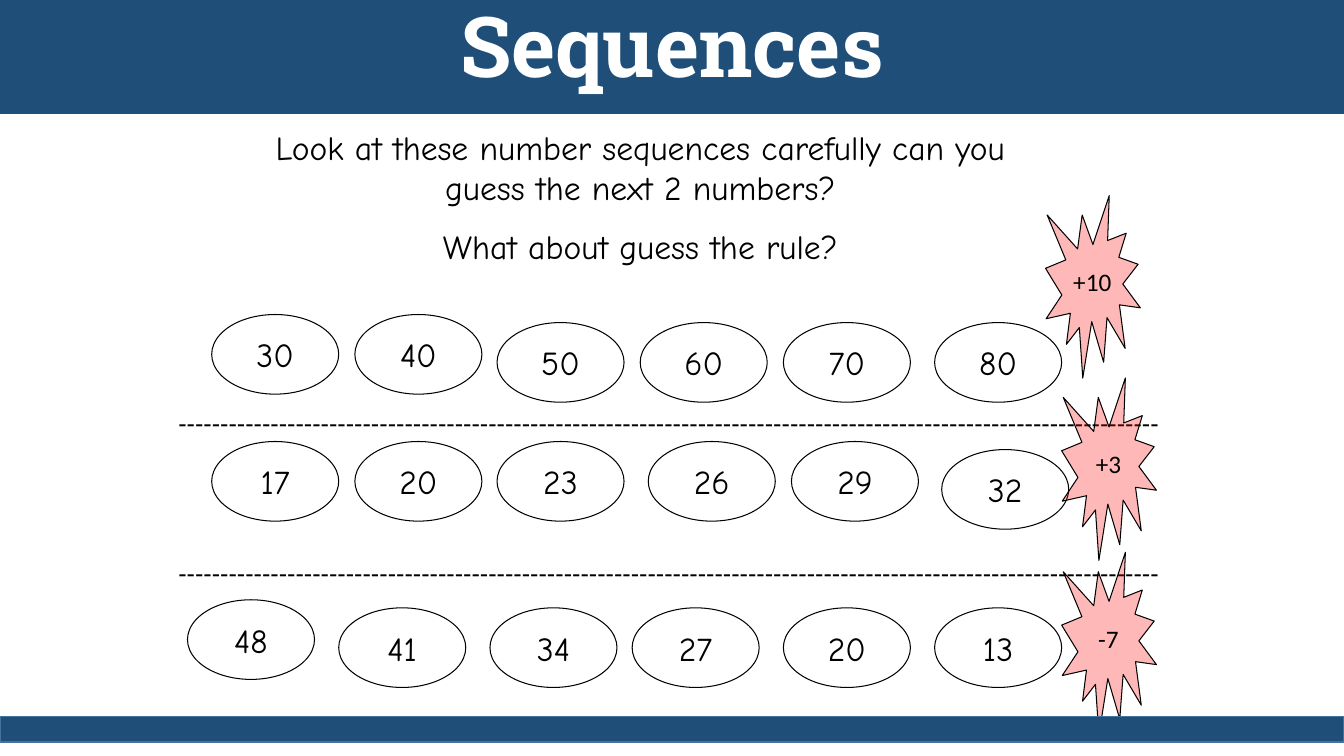
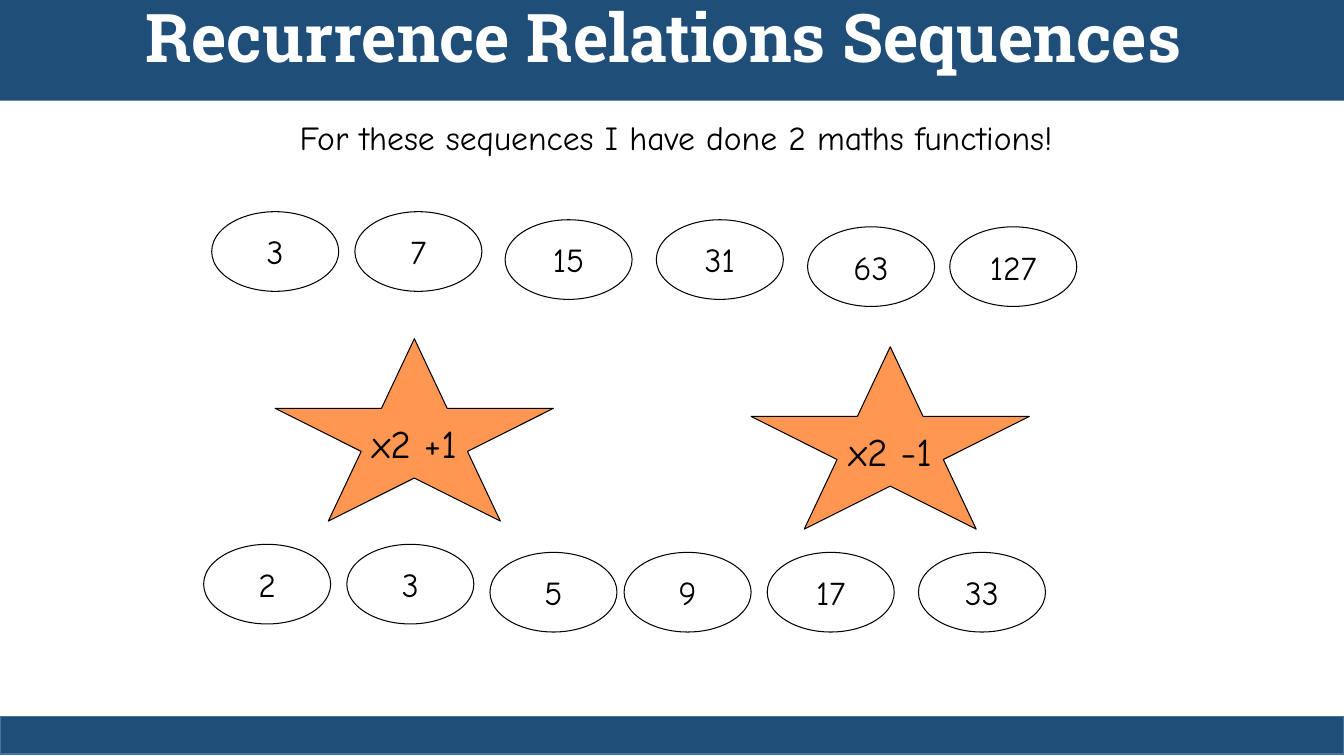
"""Build two slides on number sequences and their rules."""
from lxml import etree
from pptx import Presentation
from pptx.dml.color import RGBColor
from pptx.enum import shapes, text
from pptx.oxml import ns
from pptx.util import Inches, Pt

NAVY = RGBColor(0x1F, 0x4E, 0x79)
EDGE_BLUE = RGBColor(0x43, 0x73, 0x9E)
WHITE = RGBColor(0xFF, 0xFF, 0xFF)
BLACK = RGBColor(0, 0, 0)
RED = RGBColor(0xFF, 0, 0)
ORANGE = RGBColor(0xFF, 0x66, 0)
TITLE_FONT = "Roboto Slab"
BODY_FONT = "Comic Neue"
RULE_FONT = "Calibri"
DASH_FONT = "Arial"
SLIDE_WIDTH = 13.33
FOOTER_TOP = 7.11
OVAL_WIDTH, OVAL_HEIGHT = 1.26, 0.79
SEAL_SIZE = (0.94, 1.81)
STAR_SIZE = (2.76, 1.81)


def write_text(text_frame, lines, font, size, color=BLACK, bold=False,
               align=text.PP_ALIGN.CENTER):
    text_frame.text = "\n".join(lines)
    for index, paragraph in enumerate(text_frame.paragraphs):
        paragraph.alignment = align
        if index:
            paragraph.space_before = Pt(13)
        for run in paragraph.runs:
            run.font.name = font
            run.font.size = Pt(size)
            run.font.bold = bold
            run.font.color.rgb = color


def add_text(slide, left, top, width, height, lines, font=BODY_FONT, size=24,
             align=text.PP_ALIGN.CENTER):
    box = slide.shapes.add_textbox(*map(Inches, (left, top, width, height)))
    box.text_frame.word_wrap = True
    write_text(box.text_frame, lines, font, size, align=align)


def add_filled_shape(slide, kind, left, top, width, height, fill, line=None, line_width=0.75):
    shape = slide.shapes.add_shape(kind, *map(Inches, (left, top, width, height)))
    shape.shadow.inherit = False
    shape.fill.solid()
    shape.fill.fore_color.rgb = fill
    if line is None:
        shape.line.fill.background()
    else:
        shape.line.color.rgb = line
        shape.line.width = Pt(line_width)
    return shape


def add_label_shape(slide, kind, left, top, size, fill, label, font=BODY_FONT, font_size=24):
    shape = add_filled_shape(slide, kind, left, top, *size, fill, BLACK)
    shape.text_frame.word_wrap = False
    shape.text_frame.vertical_anchor = text.MSO_ANCHOR.MIDDLE
    write_text(shape.text_frame, [label], font, font_size)
    return shape


def set_opacity(shape, percent):
    color = shape.element.spPr.find(ns.qn("a:solidFill")).find(ns.qn("a:srgbClr"))
    etree.SubElement(color, ns.qn("a:alpha")).set("val", str(percent * 1000))


def add_sequence(slide, numbers, lefts, tops):
    for number, left, top in zip(numbers, lefts, tops):
        add_label_shape(slide, shapes.MSO_SHAPE.OVAL, left, top,
                        (OVAL_WIDTH, OVAL_HEIGHT), WHITE, str(number))


def add_seal(slide, left, top, rule):
    seal = add_label_shape(slide, shapes.MSO_SHAPE.EXPLOSION1, left, top,
                           SEAL_SIZE, RED, rule, RULE_FONT, 18)
    set_opacity(seal, 28)


def add_star(slide, left, top, rule):
    star = add_label_shape(slide, shapes.MSO_SHAPE.STAR_5_POINT, left, top,
                           STAR_SIZE, ORANGE, rule, font_size=28)
    set_opacity(star, 68)


def add_dashes(slide, top):
    add_text(slide, 1.67, top, 10, 0.4, ["-" * 117], DASH_FONT, 18, text.PP_ALIGN.LEFT)


def add_bands(slide, title, title_size, title_height, footer_height):
    rectangle = shapes.MSO_SHAPE.RECTANGLE
    header = add_filled_shape(slide, rectangle, 0, 0, SLIDE_WIDTH, title_height, NAVY)
    header.text_frame.vertical_anchor = text.MSO_ANCHOR.TOP
    write_text(header.text_frame, [title], TITLE_FONT, title_size, WHITE, True)
    header.text_frame.paragraphs[0].line_spacing = 0.9
    add_filled_shape(slide, rectangle, 0, FOOTER_TOP, SLIDE_WIDTH, footer_height,
                     NAVY, EDGE_BLUE, 1)


def build_sequences(slide):
    add_text(slide, 2.41, 1.21, 7.88, 1.51, [
        "Look at these number sequences carefully can you guess the next 2 numbers?",
        "What about guess the rule?"])
    add_sequence(slide, range(30, 81, 10), (2.1, 3.52, 4.93, 6.35, 7.77, 9.27),
                 [3.12] * 2 + [3.2] * 4)
    add_sequence(slide, range(17, 33, 3), (2.1, 3.52, 4.93, 6.43, 7.85, 9.34),
                 [4.38] * 5 + [4.46])
    add_sequence(slide, range(48, 12, -7), (1.86, 3.36, 4.86, 6.27, 7.77, 9.27),
                 [5.95] + [6.03] * 5)
    for top in (3.99, 5.48):
        add_dashes(slide, top)
    for left, top, rule in ((10.37, 1.94, "+10"), (10.53, 3.75, "+3"), (10.53, 5.48, "-7")):
        add_seal(slide, left, top, rule)
    add_bands(slide, "Sequences", 60, 1.13, 0.25)


def build_recurrence(slide):
    add_text(slide, 2.02, 1.11, 9.37, 0.5,
             ["For these sequences I have done 2 maths functions!"])
    add_sequence(slide, (3, 7, 15, 31, 63, 127), (2.1, 3.52, 5.01, 6.51, 8.01, 9.42),
                 [2.1] * 2 + [2.18] * 2 + [2.25] * 2)
    add_sequence(slide, (2, 3, 5, 9, 17, 33), (2.02, 3.44, 4.86, 6.19, 7.61, 9.11),
                 [5.4] * 2 + [5.48] * 4)
    add_star(slide, 2.73, 3.36, "x2 +1")
    add_star(slide, 7.45, 3.44, "x2 -1")
    add_bands(slide, "Recurrence Relations Sequences ", 48, 1, 0.37)


def main():
    presentation = Presentation()
    presentation.slide_width = Inches(SLIDE_WIDTH)
    presentation.slide_height = Inches(7.5)
    for build in (build_sequences, build_recurrence):
        build(presentation.slides.add_slide(presentation.slide_layouts[6]))
    presentation.save("out.pptx")


if __name__ == "__main__":
    main()
